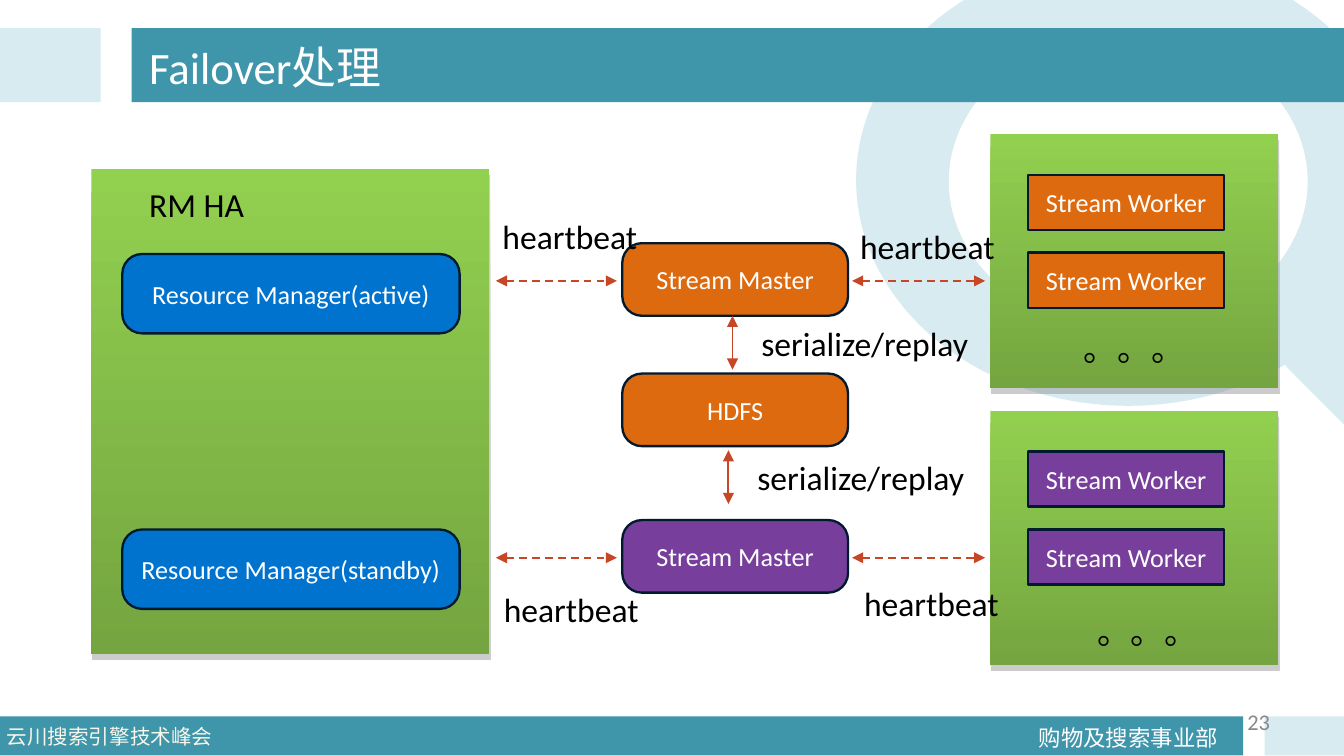
from dataclasses import dataclass

from lxml.etree import SubElement
from pptx import Presentation
from pptx.dml.color import RGBColor
from pptx.enum.dml import MSO_LINE
from pptx.enum.shapes import MSO_CONNECTOR, MSO_SHAPE
from pptx.enum.text import MSO_ANCHOR, PP_ALIGN
from pptx.oxml.ns import qn
from pptx.util import Inches, Pt


@dataclass(frozen=True)
class Theme:
    teal: str = "3F95AA"
    pale: str = "D7EBF0"
    white: str = "FFFFFF"
    cream: str = "F9F7EA"
    black: str = "000000"
    grey: str = "888888"
    shadow: str = "808080"
    green_top: str = "92D050"
    green_bottom: str = "74A540"
    orange: str = "DE6A10"
    purple: str = "773F9B"
    blue: str = "0073CF"
    outline: str = "011A2F"
    arrow: str = "C64626"
    latin: str = "Calibri"
    chinese: str = "Noto Sans CJK SC"
    title: int = 24
    label: int = 18
    node: int = 14
    footer: int = 12
    footer_small: int = 11


THEME = Theme()


def color(value):
    return RGBColor.from_string(value)


def write(shape, text, size, font_color, align=PP_ALIGN.CENTER,
          anchor=MSO_ANCHOR.MIDDLE, inset=0.0, font=THEME.latin):
    frame = shape.text_frame
    frame.word_wrap = align != PP_ALIGN.CENTER
    frame.vertical_anchor = anchor
    for side in ("left", "top", "right", "bottom"):
        setattr(frame, f"margin_{side}", Inches(inset))
    paragraph = frame.paragraphs[0]
    paragraph.alignment = align
    run = paragraph.add_run()
    run.text = text
    for name, value in {"name": font, "size": Pt(size)}.items():
        setattr(run.font, name, value)
    run.font.color.rgb = color(font_color)
    SubElement(run.font._element, qn("a:ea"), typeface=THEME.chinese)
    return paragraph


def add_label(slide, box, text, size=THEME.label, font_color=THEME.black,
              align=PP_ALIGN.CENTER, anchor=MSO_ANCHOR.TOP, font=THEME.latin):
    shape = slide.shapes.add_textbox(*map(Inches, box))
    return write(shape, text, size, font_color, align, anchor, 0.05, font)


def add_block(slide, box, fill, kind=MSO_SHAPE.RECTANGLE):
    shape = slide.shapes.add_shape(kind, *map(Inches, box))
    shape.shadow.inherit = False
    shape.fill.solid()
    shape.fill.fore_color.rgb = color(fill)
    shape.line.fill.background()
    return shape


def add_node(slide, box, text, fill, corner=None):
    """Outlined box with a centred caption; corner rounds it."""
    kind = MSO_SHAPE.ROUNDED_RECTANGLE if corner else MSO_SHAPE.RECTANGLE
    shape = add_block(slide, box, fill, kind)
    if corner:
        shape.adjustments[0] = corner
    shape.line.color.rgb = color(THEME.outline)
    shape.line.width = Pt(1.25)
    write(shape, text, THEME.node, THEME.white)


def add_panel(slide, box):
    """Green gradient panel with a hard drop shadow."""
    shape = add_block(slide, box, THEME.green_top)
    shape.fill.gradient()
    shape.fill.gradient_angle = 270
    for stop, value in zip(shape.fill.gradient_stops, (THEME.green_top, THEME.green_bottom)):
        stop.color.rgb = color(value)
    effects = shape._element.spPr.find(qn("a:effectLst"))
    shadow = SubElement(effects, qn("a:outerShdw"), blurRad="0", dist=str(Pt(3)),
                        dir=str(80 * 60000), rotWithShape="0")
    tint = SubElement(shadow, qn("a:srgbClr"), val=THEME.shadow)
    SubElement(tint, qn("a:alpha"), val="40000")


def add_arrow(slide, start, end, dashed=False):
    """Line with an arrowhead at both ends."""
    connector = slide.shapes.add_connector(
        MSO_CONNECTOR.STRAIGHT, *map(Inches, (*start, *end)))
    connector.line.color.rgb = color(THEME.arrow)
    connector.line.width = Pt(1)
    if dashed:
        connector.line.dash_style = MSO_LINE.DASH
    properties = connector._element.spPr
    line = properties.find(qn("a:ln"))
    for end_name in ("a:headEnd", "a:tailEnd"):
        SubElement(line, qn(end_name), type="triangle")
    SubElement(properties, qn("a:effectLst"))


def add_magnifier(slide, box):
    left, top, width, height = box
    add_block(slide, box, THEME.pale, MSO_SHAPE.OVAL)
    add_block(slide, (left + 0.69, top + 0.58, width - 1.38, height - 1.14),
              THEME.white, MSO_SHAPE.OVAL)
    handle = add_block(slide, (left + 2.92, top + 2.92, 2.1, 0.76),
                       THEME.pale, MSO_SHAPE.ROUNDED_RECTANGLE)
    handle.adjustments[0] = 0.5
    handle.rotation = 45


def add_header(slide, box):
    left, top, width, height = box
    add_block(slide, (left, top, 0.75, height), THEME.pale)
    add_block(slide, (left + 0.98, top, width - 0.98, height), THEME.teal)
    add_label(slide, (left + 1.06, top - 0.14, 8.44, 0.85), "Failover处理",
              THEME.title, THEME.white, PP_ALIGN.LEFT, MSO_ANCHOR.MIDDLE)


def add_footer(slide, box):
    left, top, width, height = box
    add_block(slide, (left, top, 9.25, height), THEME.teal)
    add_block(slide, (left + 9.41, top, width - 9.41, height), THEME.pale)
    department = add_label(slide, (left + 7.68, top - 0.03, 1.6, 0.32), "购物及搜索事业部",
                           THEME.footer, THEME.white, PP_ALIGN.LEFT, font=THEME.chinese)
    department.line_spacing = 1.2
    add_label(slide, (left, top + 0.01, 1.77, 0.31), "云川搜索引擎技术峰会",
              THEME.footer_small, THEME.cream, PP_ALIGN.LEFT, font=THEME.chinese)
    add_label(slide, (left + 7.17, top - 0.11, 2.33, 0.29), "23",
              THEME.footer, THEME.grey, PP_ALIGN.RIGHT, MSO_ANCHOR.MIDDLE)


def add_resource_managers(slide, box):
    left, top, _, _ = box
    add_panel(slide, box)
    add_label(slide, (left + 0.38, top + 0.06, 1.2, 0.4), "RM HA", align=PP_ALIGN.LEFT)
    for offset, state in ((0.63, "active"), (2.68, "standby")):
        add_node(slide, (left + 0.23, top + offset, 2.51, 0.59),
                 f"Resource Manager({state})", THEME.blue, 0.25)


def add_workers(slide, box, fill, dots_offset):
    left, top, _, _ = box
    add_panel(slide, box)
    for row in range(2):
        add_node(slide, (left + 0.28, top + 0.3 + 0.58 * row, 1.46, 0.41),
                 "Stream Worker", fill)
    dots_left, dots_top = dots_offset
    add_label(slide, (left + dots_left, top + dots_top, 0.86, 0.36), "。。。")


def add_masters(slide, box):
    """Stream masters and storage, with the links between them and to both sides."""
    left, top, width, _ = box
    height = 0.54
    nodes = ((0, "Stream Master", THEME.orange), (0.97, "HDFS", THEME.orange),
             (2.06, "Stream Master", THEME.purple))
    for offset, text, fill in nodes:
        add_node(slide, (left, top + offset, width, height), text, fill, 0.27)
    for offset in (0, 2.06):
        middle = top + offset + 0.28
        add_arrow(slide, (left - 0.94, middle), (left - 0.04, middle), dashed=True)
        add_arrow(slide, (left + 1.71, middle), (left + 2.7, middle), dashed=True)
    for x, y in ((-0.95, -0.25), (1.71, -0.18), (-0.94, 2.52), (1.74, 2.48)):
        add_label(slide, (left + x, top + y, 1.12, 0.4), "heartbeat")
    for x, y in ((0.82, 0.54), (0.79, 1.54)):
        add_arrow(slide, (left + x, top + y), (left + x, top + y + 0.4))
        add_label(slide, (left + x + 0.16, top + y, 1.65, 0.41), "serialize/replay")


def main():
    presentation = Presentation()
    presentation.slide_width = Inches(10)
    presentation.slide_height = presentation.slide_width * 9 // 16
    slide = presentation.slides.add_slide(presentation.slide_layouts[6])
    add_magnifier(slide, (6.37, -0.34, 4.05, 3.36))
    add_header(slide, (0, 0.21, 10, 0.55))
    add_footer(slide, (0, 5.33, 10, 0.29))
    add_resource_managers(slide, (0.68, 1.26, 2.96, 3.61))
    add_workers(slide, (7.37, 1, 2.14, 1.89), THEME.orange, (0.64, 1.39))
    add_workers(slide, (7.37, 3.06, 2.14, 1.89), THEME.purple, (0.74, 1.44))
    add_masters(slide, (4.63, 1.81, 1.68, 2.6))
    presentation.save("out.pptx")


if __name__ == "__main__":
    main()
